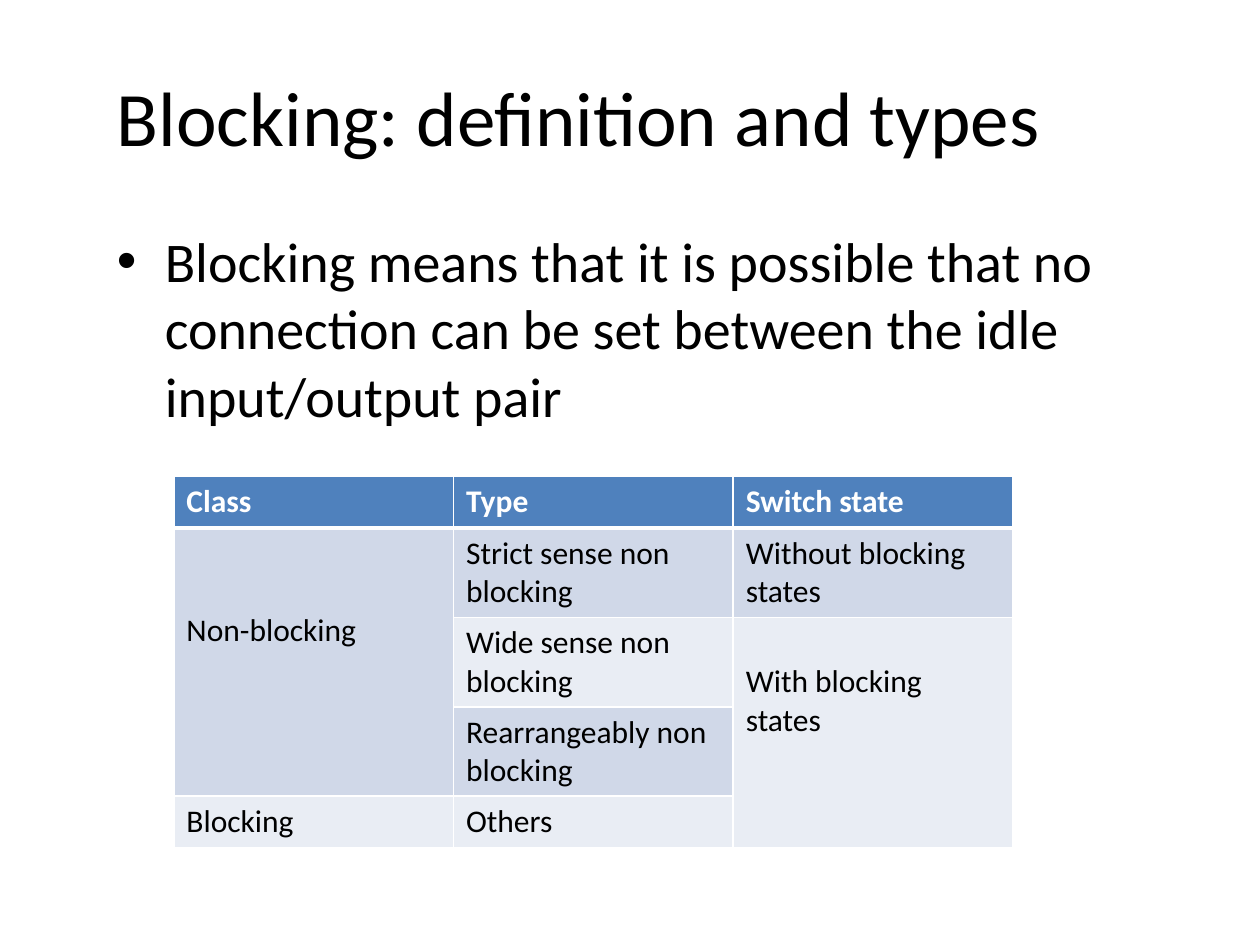
from dataclasses import dataclass

from lxml.etree import SubElement
from pptx import Presentation
from pptx.dml.color import RGBColor as Rgb
from pptx.enum.text import MSO_ANCHOR as Anchor
from pptx.oxml.ns import qn
from pptx.util import Inches, Pt


@dataclass(frozen=True)
class Theme:
    font: str = "Calibri"
    text: str = "000000"
    light: str = "FFFFFF"
    head: str = "4F81BD"
    bands: tuple = ("D0D8E8", "E9EDF4")
    title: int = 44
    body: int = 32
    cell: int = 18
    thin: int = 1
    thick: int = 3


THEME = Theme()
LEFT, WIDTH = 0.83, 8.83
ROWS = [
    ("Class", "Type", "Switch state"),
    ("Non-blocking", "Strict sense non blocking", "Without blocking states"),
    ("", "Wide sense non blocking", "With blocking states"),
    ("", "Rearrangeably non blocking", ""),
    ("Blocking", "Others", ""),
]
HEIGHTS = (0.41, 0.71, 0.71, 0.71, 0.41)
COL = 2.22
# first row, last row, column, top margin
SPANS = [(1, 3, 0, 0.66), (2, 4, 2, 0.36)]


def style(para, size, color=THEME.text, bold=False):
    for run in para.runs:
        font = run.font
        font.name, font.size, font.bold = THEME.font, Pt(size), bold
        font.color.rgb = Rgb.from_string(color)


def add_text(slide, text, top, height, size, anchor=Anchor.TOP):
    box = slide.shapes.add_textbox(
        Inches(LEFT), Inches(top), Inches(WIDTH), Inches(height))
    frame = box.text_frame
    frame.word_wrap = True
    frame.vertical_anchor = anchor
    frame.text = text
    para = frame.paragraphs[0]
    style(para, size)
    return para


def add_bullet(para, indent):
    props = para._p.get_or_add_pPr()
    props.set("marL", str(Inches(indent)))
    props.set("indent", str(-Inches(indent)))
    SubElement(props, qn("a:buFont"), typeface="Arial")
    SubElement(props, qn("a:buChar"), char="•")


def set_border(cell, top, bottom):
    """Draw light cell borders; top and bottom are widths in points."""
    props = cell._tc.get_or_add_tcPr()
    sides = {"L": THEME.thin, "R": THEME.thin, "T": top, "B": bottom}
    for side, width in sides.items():
        line = SubElement(props, qn(f"a:ln{side}"), w=str(Pt(width)))
        fill = SubElement(line, qn("a:solidFill"))
        SubElement(fill, qn("a:srgbClr"), val=THEME.light)


def fill_cell(cell, text, row):
    head = row == 0
    set_border(cell, THEME.thick if row == 1 else THEME.thin,
               THEME.thick if head else THEME.thin)
    cell.fill.solid()
    color = THEME.head if head else THEME.bands[(row - 1) % 2]
    cell.fill.fore_color.rgb = Rgb.from_string(color)
    cell.text_frame.text = text
    style(cell.text_frame.paragraphs[0], THEME.cell,
          THEME.light if head else THEME.text, head)


def add_grid(slide, left, top):
    cols = len(ROWS[0])
    table = slide.shapes.add_table(
        len(ROWS), cols, Inches(left), Inches(top),
        Inches(COL * cols), Inches(sum(HEIGHTS))).table
    for col in table.columns:
        col.width = Inches(COL)
    for r, (height, texts) in enumerate(zip(HEIGHTS, ROWS)):
        table.rows[r].height = Inches(height)
        for c, text in enumerate(texts):
            fill_cell(table.cell(r, c), text, r)
    for first, last, col, margin in SPANS:
        cell = table.cell(first, col)
        cell.merge(table.cell(last, col))
        cell.margin_top = Inches(margin)


def main():
    deck = Presentation()
    deck.slide_width, deck.slide_height = Inches(10), Inches(7.5)
    slide = deck.slides.add_slide(deck.slide_layouts[6])
    add_text(slide, "Blocking: definition and types", 0.29, 1.25,
             THEME.title, Anchor.MIDDLE)
    point = add_text(
        slide, "Blocking means that it is possible that no connection "
        "can be set between the idle input/output pair",
        1.75, 1.61, THEME.body)
    add_bullet(point, 0.38)
    add_grid(slide, 1.38, 3.78)
    deck.save("out.pptx")


if __name__ == "__main__":
    main()
